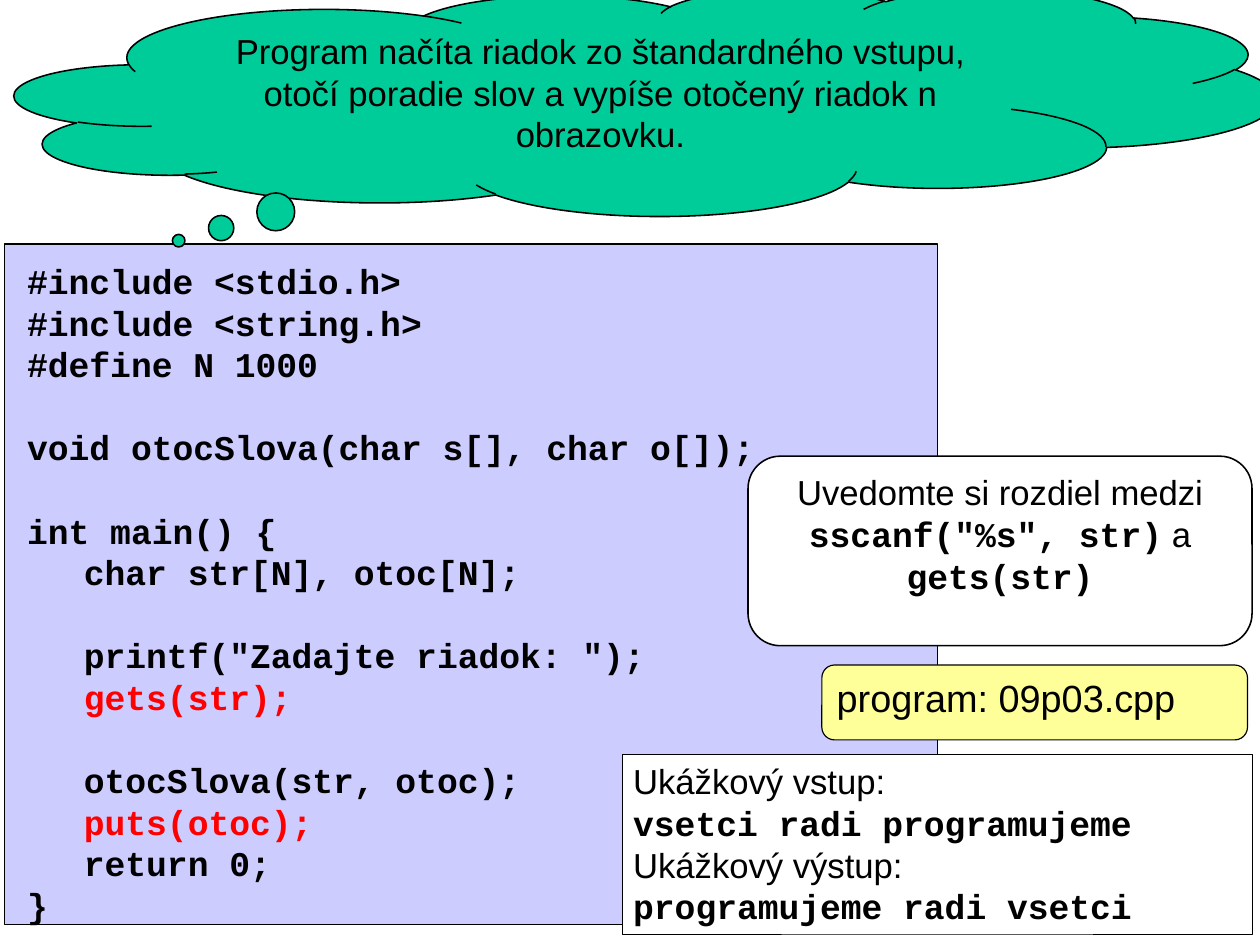
import pptx
import pptx.dml.color
import pptx.enum.shapes
import pptx.enum.text
import pptx.util

BLACK = pptx.dml.color.RGBColor(0x00, 0x00, 0x00)
WHITE = pptx.dml.color.RGBColor(0xFF, 0xFF, 0xFF)
RED = pptx.dml.color.RGBColor(0xFF, 0x00, 0x00)
LAVENDER = pptx.dml.color.RGBColor(0xCC, 0xCC, 0xFF)
GREEN = pptx.dml.color.RGBColor(0x00, 0xCC, 0x99)
YELLOW = pptx.dml.color.RGBColor(0xFF, 0xFF, 0x99)

SHAPES = pptx.enum.shapes.MSO_SHAPE
LEFT = pptx.enum.text.PP_ALIGN.LEFT
CENTER = pptx.enum.text.PP_ALIGN.CENTER
WIDE_INSETS = (0.11, 0.06)
NORMAL_INSETS = (0.1, 0.05)

CODE_BLOCKS = [
    ["#include <stdio.h>", "#include <string.h>", "#define N 1000"],
    ["void otocSlova(char s[], char o[]);"],
    ["int main() {", "\tchar str[N], otoc[N];"],
    ['\tprintf("Zadajte riadok: ");', "\tgets(str);"],
    ["\totocSlova(str, otoc);", "\tputs(otoc);", "\treturn 0;", "}"],
]
HIGHLIGHTED = ("\tgets(str);", "\tputs(otoc);")


class SlideBuilder:
    body_font = "Arial"
    code_font = "Courier New"
    text_size = 22
    blank_line = 26.4

    def __init__(self, presentation):
        self.presentation = presentation
        self.slide = presentation.slides.add_slide(presentation.slide_layouts[6])

    def place(self, left, top, width, height):
        column = self.presentation.slide_width / 100
        row = self.presentation.slide_height / 100
        return [round(length) for length in
                (left * column, top * row, width * column, height * row)]

    def shape(self, kind, area, fill, line_width, adjustments=()):
        shape = self.slide.shapes.add_shape(kind, *self.place(*area))
        shape.shadow.inherit = False
        shape.fill.solid()
        shape.fill.fore_color.rgb = fill
        shape.line.color.rgb = BLACK
        shape.line.width = pptx.util.Pt(line_width)
        for index, value in enumerate(adjustments):
            shape.adjustments[index] = value
        return shape

    def frame(self, shape, insets=NORMAL_INSETS, wrap=True):
        frame = shape.text_frame
        frame.word_wrap = wrap
        frame.vertical_anchor = pptx.enum.text.MSO_ANCHOR.TOP
        frame.margin_left = frame.margin_right = pptx.util.Inches(insets[0])
        frame.margin_top = frame.margin_bottom = pptx.util.Inches(insets[1])
        return frame

    def run(self, paragraph, text, code=False, color=BLACK, size=text_size):
        run = paragraph.add_run()
        run.text = text
        run.font.name = self.code_font if code else self.body_font
        run.font.bold = code
        run.font.size = pptx.util.Pt(size)
        run.font.color.rgb = color

    def text(self, shape, lines, alignment=LEFT, insets=NORMAL_INSETS, size=text_size):
        frame = self.frame(shape, insets)
        for index, line in enumerate(lines):
            paragraph = frame.add_paragraph() if index else frame.paragraphs[0]
            paragraph.alignment = alignment
            for text, code in line:
                self.run(paragraph, text, code, size=size)

    def code(self, area, blocks):
        box = self.slide.shapes.add_textbox(*self.place(*area))
        frame = self.frame(box, WIDE_INSETS, wrap=False)
        paragraph = frame.paragraphs[0]
        for block_index, block in enumerate(blocks):
            for line_index, line in enumerate(block):
                if block_index or line_index:
                    paragraph = frame.add_paragraph()
                if block_index and not line_index:
                    paragraph.space_before = pptx.util.Pt(self.blank_line)
                color = RED if line in HIGHLIGHTED else BLACK
                self.run(paragraph, line, code=True, color=color)


def main():
    presentation = pptx.Presentation()
    presentation.slide_width = pptx.util.Inches(11.1)
    presentation.slide_height = pptx.util.Inches(8.3)
    builder = SlideBuilder(presentation)

    builder.shape(SHAPES.RECTANGLE, (0.36, 25.9, 74.05, 72.29), LAVENDER, 0.75)
    builder.code((1.17, 26.87, 60.63, 72.77), CODE_BLOCKS)

    task = builder.shape(SHAPES.CLOUD_CALLOUT, (1.17, -1.2, 100.09, 24.1),
                         GREEN, 1, (-0.37, 0.61))
    builder.text(task, [[("Program načíta riadok zo štandardného vstupu, otočí poradie "
                          "slov a vypíše otočený riadok n obrazovku.", False)]],
                 CENTER, WIDE_INSETS)

    sample = builder.shape(SHAPES.RECTANGLE, (49.37, 80.12, 50, 19.04), WHITE, 0.5)
    builder.text(sample, [
        [("Ukážkový vstup:", False)],
        [("vsetci radi programujeme", True)],
        [("Ukážkový výstup:", False)],
        [("programujeme radi vsetci", True)],
    ])

    program = builder.shape(SHAPES.ROUNDED_RECTANGLE, (65.23, 70.6, 33.78, 7.95),
                            YELLOW, 0.75, (0.17,))
    builder.text(program, [[("program: 09p03.cpp", False)]], size=24)

    hint = builder.shape(SHAPES.ROUNDED_RECTANGULAR_CALLOUT, (59.37, 48.43, 40, 20.12),
                         WHITE, 1, (-0.2, 0.5, 0.17))
    builder.text(hint, [[("Uvedomte si rozdiel medzi ", False),
                         ('sscanf("%s", str)', True),
                         (" a ", False),
                         ("gets(str)", True)]], CENTER)

    presentation.save("out.pptx")


if __name__ == "__main__":
    main()
